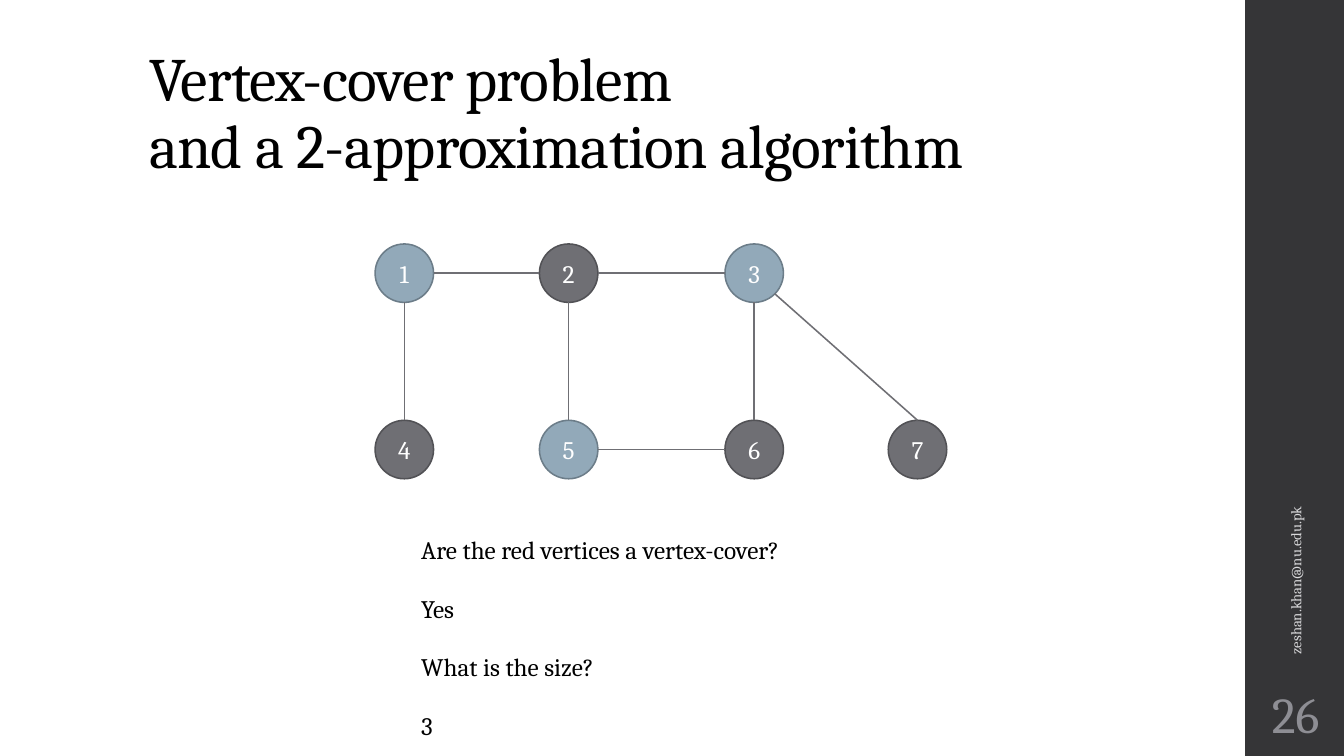
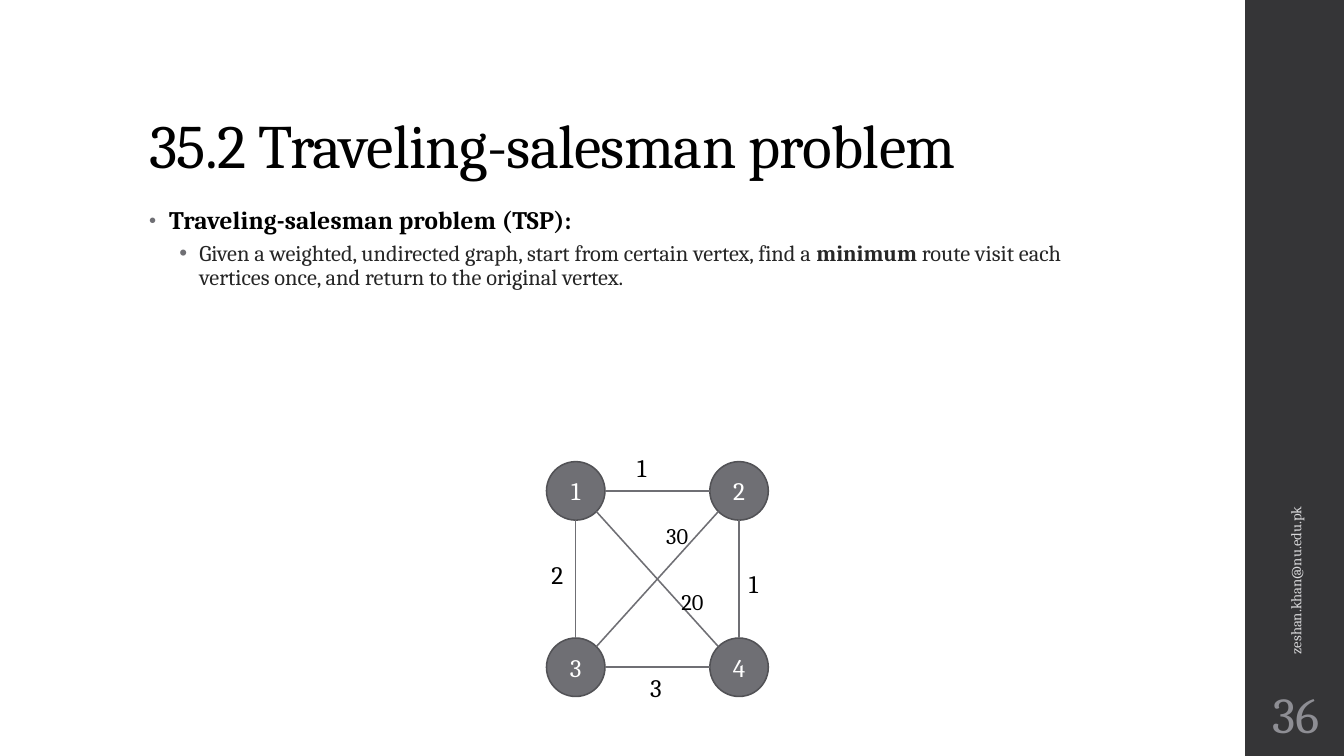
from math import cos, radians, sin

from lxml import etree
from pptx import Presentation
from pptx.dml.color import RGBColor
from pptx.enum.shapes import MSO_CONNECTOR, MSO_SHAPE
from pptx.enum.text import MSO_ANCHOR, PP_ALIGN
from pptx.oxml.ns import qn
from pptx.util import Inches, Pt

ELLIPSE, RECTANGLE = MSO_SHAPE.OVAL, MSO_SHAPE.RECTANGLE
STRAIGHT = MSO_CONNECTOR.STRAIGHT
TOP, MIDDLE, BOTTOM = MSO_ANCHOR.TOP, MSO_ANCHOR.MIDDLE, MSO_ANCHOR.BOTTOM
LEFT, CENTER = PP_ALIGN.LEFT, PP_ALIGN.CENTER

FONT = "Cambria"
BLACK, WHITE, BODY = "000000", "FFFFFF", "262626"
BAND, CONTACT_COLOR, NUMBER_COLOR = "353537", "D9D9DB", "8E8E94"
GRAY, GRAY_EDGE = "6F6F74", "525256"
BLUE, BLUE_EDGE = "92A9B9", "6C7D89"
DIAMETER, LINE_WIDTH = 0.58, 1.1

# Connection sites of an ellipse, counter-clockwise from the top
N, NW, W, SW, S, SE, E, NE = range(8)

CONTACT = "zeshan.khan@nu.edu.pk"

COVER = {
    "title": ["Vertex-cover problem", "and a 2-approximation algorithm"],
    "number": "26",
    "columns": [4.01, 5.64, 7.48, 9.1],
    "rows": [2.71, 4.46],
    # vertex: (column, row)
    "vertices": {"1": (0, 0), "2": (1, 0), "3": (2, 0),
                 "4": (0, 1), "5": (1, 1), "6": (2, 1), "7": (3, 1)},
    "cover": {"1", "3", "5"},
    # (start vertex, start site, end vertex, end site)
    "edges": [("1", S, "4", N), ("1", E, "2", W), ("2", E, "3", W),
              ("2", S, "5", N), ("3", SE, "7", N), ("3", S, "6", N),
              ("5", E, "6", W)],
}
QUESTIONS = ["Are the red vertices a vertex-cover?", "Yes",
             "What is the size?", "3"]

TOUR = {
    "title": ["35.2 Traveling-salesman problem"],
    "number": "36",
    "columns": [5.71, 7.33],
    "rows": [4.87, 6.62],
    "vertices": {"1": (0, 0), "2": (1, 0), "3": (0, 1), "4": (1, 1)},
    "cover": set(),
    "edges": [("1", S, "3", N), ("1", E, "2", W), ("2", S, "4", N),
              ("3", E, "4", W), ("1", SE, "4", NW), ("3", NE, "2", SW)],
}
# (weight, left, top, width, size)
WEIGHTS = [("1", 6.22, 4.44, 0.33, 18), ("2", 5.37, 5.5, 0.33, 18),
           ("1", 7.33, 5.59, 0.33, 18), ("3", 6.35, 6.62, 0.33, 18),
           ("30", 6.51, 5.13, 0.46, 16), ("20", 6.66, 5.79, 0.46, 16)]
DEFINITION = [
    {"runs": [("Traveling-salesman problem (TSP):", True)],
     "level": 0, "size": 18, "color": BLACK, "spacing": 10, "indent": 0.2,
     "line": 0.95, "before": 0, "after": 2, "bullet_size": 80},
    {"runs": [("Given a weighted, undirected graph, start from certain "
               "vertex, find a ", False),
              ("minimum", True),
              (" route visit each vertices once, and return to the original "
               "vertex.", False)],
     "level": 1, "size": 16, "color": BODY, "spacing": 0, "indent": 0.5,
     "line": 0.9, "before": 3, "after": 3, "bullet_size": 100},
]


def rgb(value):
    return RGBColor.from_string(value)


def add_span(para, text, size, color, bold=False, spacing=0):
    """Add one run; spacing is in hundredths of a point."""
    span = para.add_run()
    span.text = text
    span.font.name = FONT
    span.font.size = Pt(size)
    span.font.bold = bold
    span.font.color.rgb = rgb(color)
    if spacing:
        span.font._element.set("spc", str(spacing))


def add_box(page, left, top, width, height, anchor=TOP, wrap=True):
    box = page.shapes.add_textbox(*map(Inches, (left, top, width, height)))
    box.text_frame.word_wrap = wrap
    box.text_frame.vertical_anchor = anchor
    return box


def add_text(page, text, bounds, size, color, anchor=TOP, align=LEFT, wrap=True):
    box = add_box(page, *bounds, anchor=anchor, wrap=wrap)
    para = box.text_frame.paragraphs[0]
    para.alignment = align
    add_span(para, text, size, color)
    return box


def add_filled(page, kind, bounds, fill, edge=None):
    shape = page.shapes.add_shape(kind, *map(Inches, bounds))
    shape.shadow.inherit = False
    shape.fill.solid()
    shape.fill.fore_color.rgb = rgb(fill)
    if edge:
        shape.line.color.rgb = rgb(edge)
        shape.line.width = Pt(LINE_WIDTH)
    else:
        shape.line.fill.background()
    return shape


def add_page(deck, title, number):
    """Add a page with the side band, title, contact and page number."""
    page = deck.slides.add_slide(deck.slide_layouts[6])
    add_filled(page, RECTANGLE, (12.35, 0, 1, 7.5), BAND)

    para = add_box(page, 1.38, 0.4, 10.6, 1.45, BOTTOM).text_frame.paragraphs[0]
    para.line_spacing = 0.9
    for index, line in enumerate(title):
        if index:
            para.add_line_break()
        add_span(para, line, 44, BLACK, spacing=-50)

    contact = add_text(page, CONTACT, (10.89, 4.43, 3.92, 0.4), 10.5,
                       CONTACT_COLOR, MIDDLE)
    contact.rotation = 270
    frame = add_text(page, number, (12.35, 6.75, 1, 0.65), 36, NUMBER_COLOR,
                     MIDDLE, CENTER).text_frame
    frame.margin_left = frame.margin_right = Inches(0.05)
    return page


def add_vertex(page, name, x, y, chosen):
    fill, edge = (BLUE, BLUE_EDGE) if chosen else (GRAY, GRAY_EDGE)
    bounds = (x - DIAMETER / 2, y - DIAMETER / 2, DIAMETER, DIAMETER)
    vertex = add_filled(page, ELLIPSE, bounds, fill, edge)
    frame = vertex.text_frame
    frame.vertical_anchor = MIDDLE
    frame.paragraphs[0].alignment = CENTER
    add_span(frame.paragraphs[0], name, 18, WHITE)
    return vertex


def site_point(vertex, site):
    angle = radians(90 + 45 * site)
    radius = vertex.width / 2
    return (round(vertex.left + radius + radius * cos(angle)),
            round(vertex.top + radius - radius * sin(angle)))


def add_edge(page, start, start_site, end, end_site):
    """Join two ellipses at any of their eight connection sites."""
    edge = page.shapes.add_connector(STRAIGHT, *site_point(start, start_site),
                                     *site_point(end, end_site))
    edge.line.color.rgb = rgb(GRAY)
    edge.line.width = Pt(LINE_WIDTH)
    etree.SubElement(edge._element.spPr, qn("a:effectLst"))
    joints = edge._element.nvCxnSpPr.cNvCxnSpPr
    for tag, vertex, site in (("a:stCxn", start, start_site),
                              ("a:endCxn", end, end_site)):
        etree.SubElement(joints, qn(tag), id=str(vertex.shape_id), idx=str(site))


def add_graph(page, graph):
    vertices = {
        name: add_vertex(page, name, graph["columns"][column],
                         graph["rows"][row], name in graph["cover"])
        for name, (column, row) in graph["vertices"].items()
    }
    for start, start_site, end, end_site in graph["edges"]:
        add_edge(page, vertices[start], start_site, vertices[end], end_site)


def add_bullet(para, indent, size):
    properties = para._p.get_or_add_pPr()
    properties.set("marL", str(Inches(indent)))
    properties.set("indent", str(Inches(-0.2)))
    color = etree.SubElement(properties, qn("a:buClr"))
    etree.SubElement(color, qn("a:srgbClr"), val=GRAY)
    etree.SubElement(properties, qn("a:buSzPct"), val=str(size * 1000))
    etree.SubElement(properties, qn("a:buFont"), typeface="Arial")
    etree.SubElement(properties, qn("a:buChar"), char="•")


def add_definition(page):
    frame = add_box(page, 1.38, 2, 9.4, 4.76).text_frame
    for index, item in enumerate(DEFINITION):
        para = frame.add_paragraph() if index else frame.paragraphs[0]
        para.level = item["level"]
        para.line_spacing = item["line"]
        para.space_before = Pt(item["before"])
        para.space_after = Pt(item["after"])
        add_bullet(para, item["indent"], item["bullet_size"])
        for text, bold in item["runs"]:
            add_span(para, text, item["size"], item["color"], bold,
                     item["spacing"])


def main():
    deck = Presentation()
    deck.slide_width, deck.slide_height = Inches(13.33), Inches(7.5)

    page = add_page(deck, COVER["title"], COVER["number"])
    add_graph(page, COVER)
    pitch = 1.75 / (len(QUESTIONS) - 1)
    for index, text in enumerate(QUESTIONS):
        add_text(page, text, (4.08, 5.25 + index * pitch, 4.17, 0.4), 18, BLACK)

    page = add_page(deck, TOUR["title"], TOUR["number"])
    add_definition(page)
    add_graph(page, TOUR)
    for weight, left, top, width, size in WEIGHTS:
        add_text(page, weight, (left, top, width, 0.4), size, BLACK, wrap=False)

    deck.save("out.pptx")


if __name__ == "__main__":
    main()
